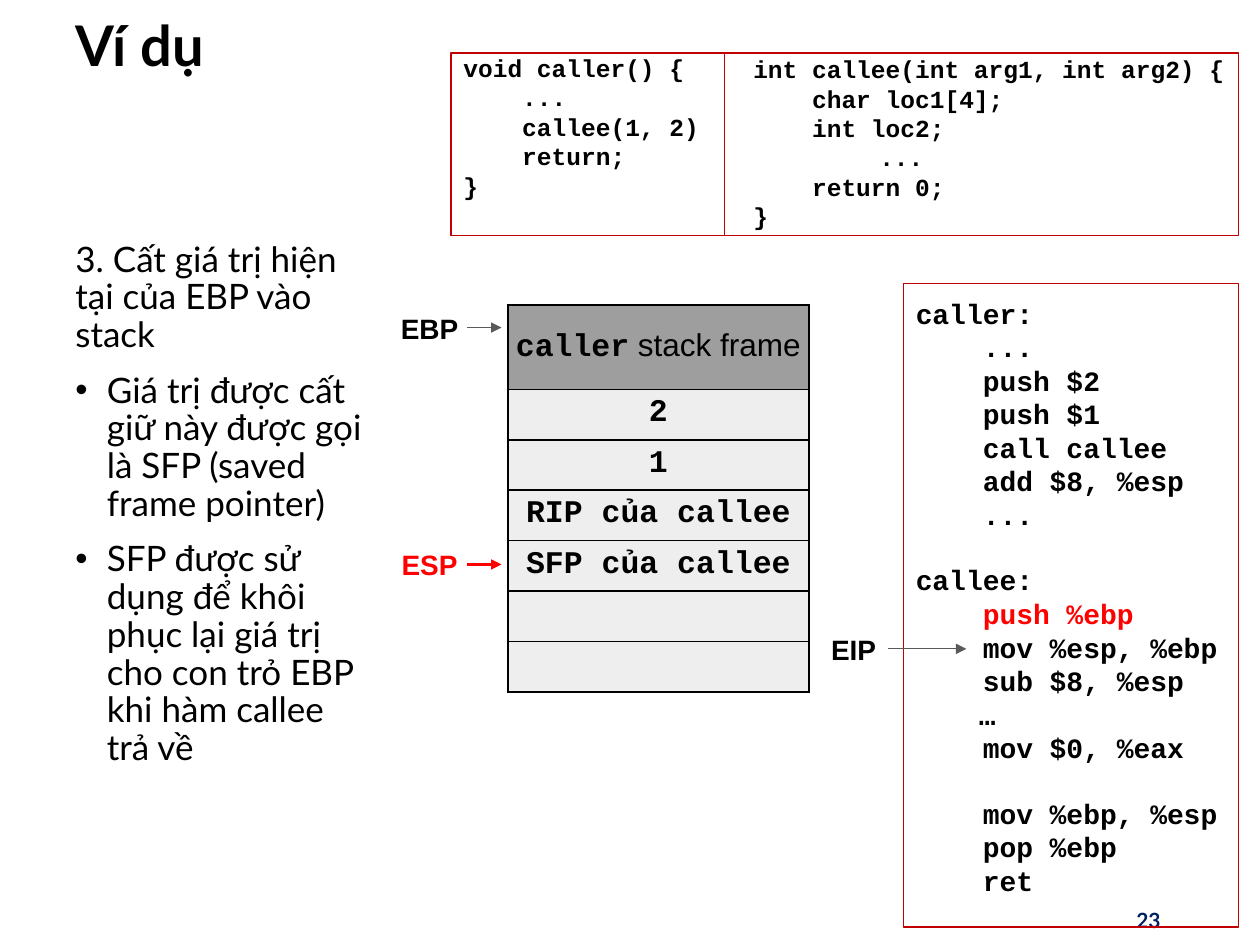
from lxml import etree
from pptx import Presentation
from pptx.dml.color import RGBColor
from pptx.enum import shapes, text
from pptx.oxml import ns
from pptx.util import Inches, Pt

SANS, CODE, LATO = "Arial", "Courier New", "Lato"
BLACK, RED, FRAME, GRAY = "000000", "FF0000", "C00000", "595959"
CODE_LINE = 18.1  # height of one line of 16 pt code


def color(value):
    return RGBColor.from_string(value)


def add_element(parent, tag, **attributes):
    return etree.SubElement(parent, ns.qn(tag), **attributes)


class SlideBuilder:
    def __init__(self, slide, ink=BLACK):
        self.slide = slide
        self.ink = ink

    def run(self, paragraph, words, font, size, bold=True, ink=None):
        run = paragraph.add_run()
        run.text = words
        run.font.name = font
        run.font.size = Pt(size)
        run.font.bold = bold
        run.font.color.rgb = color(ink or self.ink)

    def frame(self, shape, inset=None, anchor=text.MSO_ANCHOR.TOP):
        frame = shape.text_frame
        frame.word_wrap = True
        frame.vertical_anchor = anchor
        if inset is not None:
            frame.margin_left = frame.margin_right = Inches(inset)
            frame.margin_top = frame.margin_bottom = Inches(inset)
        return frame

    def textbox(self, box, inset=None, anchor=text.MSO_ANCHOR.TOP, parent=None):
        owner = parent or self.slide
        shape = owner.shapes.add_textbox(*map(Inches, box))
        return self.frame(shape, inset, anchor)

    def paragraphs(self, frame, count):
        yield frame.paragraphs[0]
        for _ in range(count - 1):
            yield frame.add_paragraph()

    def outline(self, box):
        shape = self.slide.shapes.add_shape(
            shapes.MSO_SHAPE.RECTANGLE, *map(Inches, box))
        shape.shadow.inherit = False
        shape.fill.background()
        shape.line.color.rgb = color(FRAME)
        shape.line.width = Pt(1)
        return shape

    def code(self, frame, lines, size, tab, red=()):
        """A blank line becomes space before the line that follows it."""
        gap = 0
        visible = [line for line in lines if line]
        paragraphs = self.paragraphs(frame, len(visible))
        for line in lines:
            if not line:
                gap = CODE_LINE
                continue
            paragraph = next(paragraphs)
            paragraph.alignment = text.PP_ALIGN.LEFT
            if gap:
                paragraph.space_before = Pt(gap)
                gap = 0
            if line.startswith("\t"):
                tabs = add_element(paragraph._p.get_or_add_pPr(), "a:tabLst")
                add_element(tabs, "a:tab", pos=str(Inches(tab)), algn="l")
            ink = RED if line.strip() in red else None
            self.run(paragraph, line, CODE, size, ink=ink)

    def line(self, start, end, ink, width, arrow=False, parent=None):
        owner = parent or self.slide
        connector = owner.shapes.add_connector(
            shapes.MSO_CONNECTOR.STRAIGHT, *map(Inches, start + end))
        connector.line.color.rgb = color(ink)
        connector.line.width = Pt(width)
        if arrow:
            add_element(connector.line._get_or_add_ln(), "a:tailEnd", type="triangle")
        add_element(connector._element.spPr, "a:effectLst")

    def pointer(self, label, left, top, width, tip, ink=BLACK, arrow_ink=GRAY, weight=0.75):
        group = self.slide.shapes.add_group_shape()
        frame = self.textbox((left, top, width, 0.37), 0.05, parent=group)
        frame.auto_size = text.MSO_AUTO_SIZE.SHAPE_TO_FIT_TEXT
        paragraph = frame.paragraphs[0]
        paragraph.alignment = text.PP_ALIGN.CENTER
        self.run(paragraph, label, SANS, 16, ink=ink)
        middle = top + 0.18
        self.line((left + width, middle), (tip, middle), arrow_ink, weight, True, group)

    def body(self, box, lead, bullets):
        frame = self.textbox(box)
        items = [lead] + bullets
        for index, paragraph in enumerate(self.paragraphs(frame, len(items))):
            paragraph.line_spacing = 0.9
            if index:
                paragraph.space_before = Pt(10)
                properties = paragraph._p.get_or_add_pPr()
                properties.set("marL", str(Inches(0.25)))
                properties.set("indent", str(-Inches(0.25)))
                add_element(properties, "a:buFont", typeface=SANS)
                add_element(properties, "a:buChar", char="•")
            self.run(paragraph, items[index], LATO, 20, bold=False)

    def stack(self, left, top, width, heights, rows):
        table = self.slide.shapes.add_table(
            len(rows), 1, Inches(left), Inches(top),
            Inches(width), Inches(sum(heights))).table
        table.first_row = table.horz_banding = False
        table.columns[0].width = Inches(width)
        for index, (height, runs) in enumerate(zip(heights, rows)):
            table.rows[index].height = Inches(height)
            cell = table.cell(index, 0)
            cell.margin_left = cell.margin_right = Inches(0.05)
            cell.margin_top = cell.margin_bottom = Inches(0.05)
            properties = cell._tc.get_or_add_tcPr()
            for side in "LRTB":
                border = add_element(properties, f"a:ln{side}", w=str(Pt(1)))
                fill = add_element(border, "a:solidFill")
                add_element(fill, "a:srgbClr", val=BLACK)
            cell.fill.solid()
            cell.fill.fore_color.rgb = color("EEEEEE" if index else "9E9E9E")
            if not index:
                cell.vertical_anchor = text.MSO_ANCHOR.MIDDLE
            paragraph = cell.text_frame.paragraphs[0]
            paragraph.alignment = text.PP_ALIGN.CENTER
            for words, font, bold in runs:
                self.run(paragraph, words, font, 18, bold)


def main():
    presentation = Presentation()
    presentation.slide_width, presentation.slide_height = Inches(10), Inches(7.5)
    builder = SlideBuilder(presentation.slides.add_slide(presentation.slide_layouts[6]))

    # Title, explanation and page number
    title = builder.textbox((0.5, 0.08, 8.81, 0.61), anchor=text.MSO_ANCHOR.MIDDLE)
    title.paragraphs[0].line_spacing = 0.9
    builder.run(title.paragraphs[0], "Ví dụ", LATO, 32)
    builder.body((0.5, 1.87, 2.56, 5.21), "3. Cất giá trị hiện tại của EBP vào stack", [
        "Giá trị được cất giữ này được gọi là SFP (saved frame pointer)",
        "SFP được sử dụng để khôi phục lại giá trị cho con trỏ EBP khi hàm callee trả về"])
    number = builder.textbox((7.06, 7.1, 2.25, 0.4), anchor=text.MSO_ANCHOR.MIDDLE)
    number.paragraphs[0].alignment = text.PP_ALIGN.RIGHT
    builder.run(number.paragraphs[0], "23", LATO, 12, ink="002060")

    # Assembly listing
    assembly = builder.frame(builder.outline((7.17, 2.25, 2.66, 5.11)), 0.1)
    builder.code(assembly, [
        "caller:", "    ...", "    push $2", "    push $1", "    call callee",
        "    add $8, %esp", "    ...", "",
        "callee:", "    push %ebp", "    mov %esp, %ebp", "    sub $8, %esp",
        "\t…", "    mov $0, %eax", "",
        "    mov %ebp, %esp", "    pop %ebp", "    ret"], 16, 0.5, red=["push %ebp"])

    # C source of both functions
    builder.code(builder.textbox((3.58, 0.32, 2.5, 1.18), 0.1), [
        "void caller() {", "    ...", "    callee(1, 2)", "    return;", "}"], 14, 1)
    callee = builder.textbox((5.88, 0.33, 4.02, 1.62), 0.1)
    callee.auto_size = text.MSO_AUTO_SIZE.SHAPE_TO_FIT_TEXT
    builder.code(callee, [
        "int callee(int arg1, int arg2) {", "    char loc1[4];", "    int loc2;",
        "\t...", "    return 0;", "}"], 14, 1)
    builder.outline((3.58, 0.42, 6.25, 1.45))

    # Stack contents
    entries = ["2", "1", "RIP của callee", "SFP của callee"]
    rows = [[("caller", CODE, True), (" stack frame", SANS, False)]]
    rows += [[(entry, CODE, True)] for entry in entries] + [[], []]
    builder.stack(4.03, 2.42, 2.39, [0.67] + [0.4] * 6, rows)

    # Register pointers
    builder.pointer("EBP", 3.11, 2.42, 0.6, 3.98)
    builder.pointer("EIP", 6.5, 4.97, 0.55, 7.67)
    builder.pointer("ESP", 3.11, 4.3, 0.6, 3.98, RED, RED, 1.5)

    # Divider between the two functions
    builder.line((5.75, 0.42), (5.75, 1.87), FRAME, 1)
    presentation.save("out.pptx")


if __name__ == "__main__":
    main()
